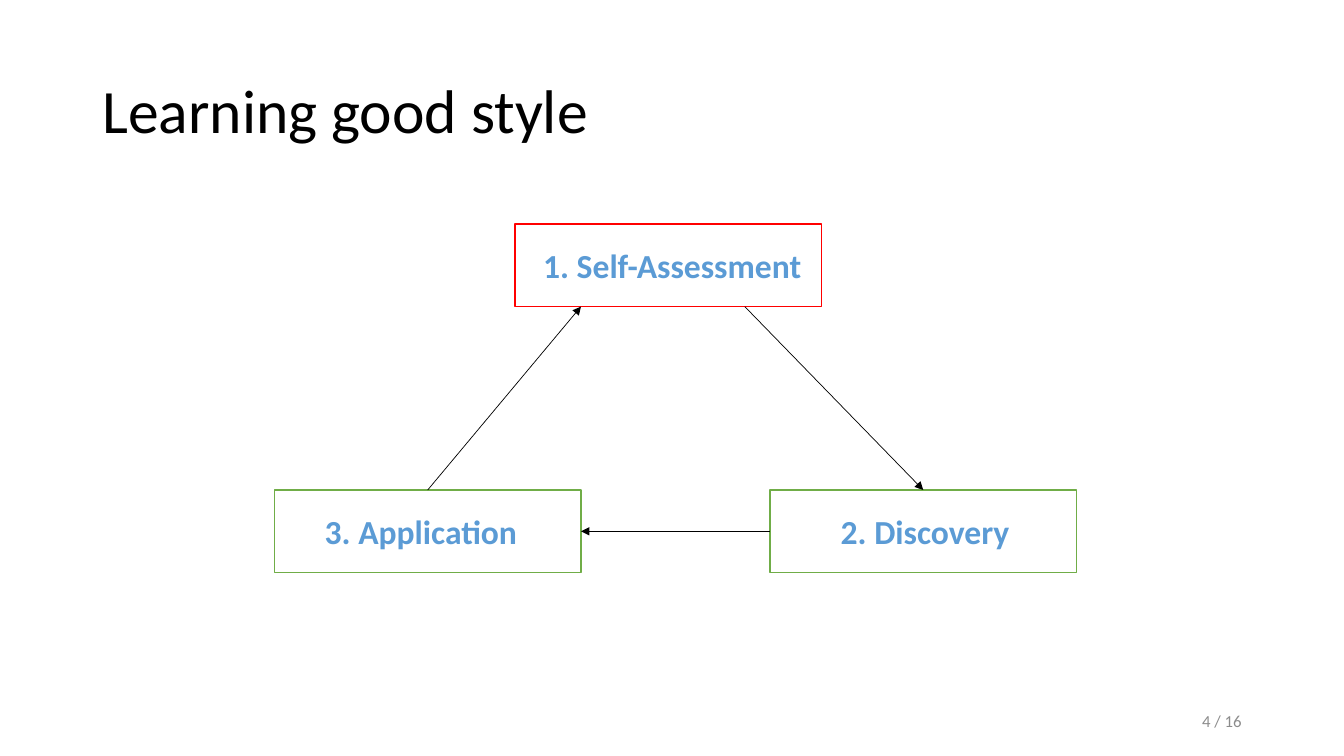
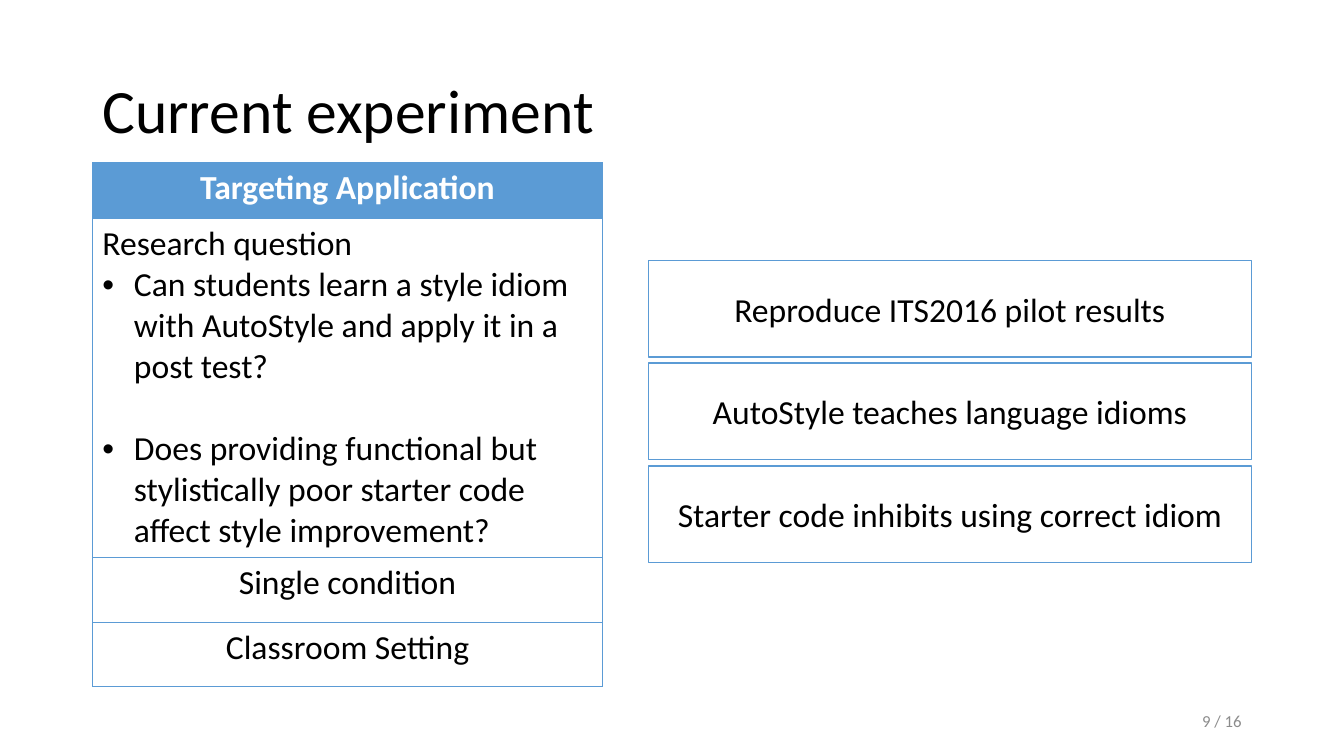
"""Build two slides: a learning cycle and a summary of the current experiment."""
from dataclasses import dataclass
from typing import Any, Optional

from lxml.etree import SubElement
from pptx import Presentation
from pptx.dml.color import RGBColor
from pptx.enum.shapes import MSO_CONNECTOR as Connector, MSO_SHAPE as Preset
from pptx.enum.text import MSO_ANCHOR as Anchor, PP_ALIGN as Align
from pptx.oxml.ns import qn
from pptx.shapes.autoshape import Shape
from pptx.slide import Slide
from pptx.util import Pt

BLACK, WHITE, GREY = "000000", "FFFFFF", "8C8C8C"
BLUE, GREEN, RED = "5B9BD5", "70AD47", "FF0000"
PAGE_COUNT = 16
MARGIN = 66
BODY = {"name": "Calibri", "size": Pt(24), "bold": False}
STRONG = BODY | {"bold": True}
TITLE = BODY | {"size": Pt(44)}
FOOTER = BODY | {"size": Pt(12)}
TOP, LEFT, BOTTOM, RIGHT = range(4)


@dataclass(frozen=True)
class Area:
    left: float
    top: float
    width: float
    height: float

    def points(self) -> tuple:
        return Pt(self.left), Pt(self.top), Pt(self.width), Pt(self.height)


@dataclass(frozen=True)
class Box:
    text: str
    area: Area
    outline: str
    font: dict
    colour: str = BLACK
    fill: Optional[str] = None
    align: Align = Align.CENTER
    inset: float = 7.2


@dataclass(frozen=True)
class Line:
    text: str
    align: Align = Align.LEFT
    bullet: bool = False
    before: float = 0


@dataclass(frozen=True)
class Row:
    height: float
    lines: tuple
    font: dict
    colour: str = BLACK
    fill: Optional[str] = None


@dataclass(frozen=True)
class Arrow:
    start: tuple
    end: tuple
    start_joint: Optional[tuple] = None
    end_joint: Optional[tuple] = None


BOX_WIDTH, BOX_HEIGHT = 219, 59
UPPER, LOWER = 160, 350
UPPER_EDGE, LOWER_MIDDLE = UPPER + BOX_HEIGHT, LOWER + BOX_HEIGHT / 2
FIRST, SECOND, THIRD = 368, 550, 196


def step(text: str, left: float, top: float, outline: str, inset: float) -> Box:
    return Box(text, Area(left, top, BOX_WIDTH, BOX_HEIGHT), outline, STRONG, BLUE,
               align=Align.LEFT, inset=inset)


STEPS = (
    step("1. Self-Assessment", FIRST, UPPER, RED, 20),
    step("2. Discovery", SECOND, LOWER, GREEN, 50.5),
    step("3. Application", THIRD, LOWER, GREEN, 36),
)
ARROWS = (
    Arrow((532, UPPER_EDGE), (SECOND + BOX_WIDTH / 2, LOWER), end_joint=(1, TOP)),
    Arrow((SECOND, LOWER_MIDDLE), (THIRD + BOX_WIDTH, LOWER_MIDDLE), (1, LEFT), (2, RIGHT)),
    Arrow((THIRD + BOX_WIDTH / 2, LOWER), (THIRD + BOX_WIDTH, UPPER_EDGE), (2, TOP)),
)
ROWS = (
    Row(40, (Line("Targeting Application", Align.CENTER),), STRONG, WHITE, BLUE),
    Row(242, (
        Line("Research question"),
        Line("Can students learn a style idiom with AutoStyle and apply it in a post test?",
             bullet=True),
        Line("Does providing functional but stylistically poor starter code affect style "
             "improvement?", bullet=True, before=29.3),
    ), BODY),
    Row(46.4, (Line("Single condition", Align.CENTER),), BODY),
    Row(46, (Line("Classroom Setting", Align.CENTER),), BODY),
)
FINDINGS = tuple(
    Box(text, Area(463, 186 + 73.4 * index, 431, 69), BLUE, BODY, fill=WHITE)
    for index, text in enumerate((
        "Reproduce ITS2016 pilot results",
        "AutoStyle teaches language idioms",
        "Starter code inhibits using correct idiom",
    ))
)


def rgb(colour: str) -> RGBColor:
    return RGBColor.from_string(colour)


def set_format(target: Any, values: dict) -> None:
    for name, value in values.items():
        setattr(target, name, value)


def set_fill(target: Any, colour: Optional[str]) -> None:
    if colour is None:
        target.fill.background()
    else:
        target.fill.solid()
        target.fill.fore_color.rgb = rgb(colour)


def write(paragraph: Any, text: str, font: dict, colour: str, values: dict) -> None:
    set_format(paragraph, values)
    run = paragraph.add_run()
    run.text = text
    set_format(run.font, font)
    run.font.color.rgb = rgb(colour)


def add_label(slide: Slide, area: Area, text: str, font: dict, colour: str, values: dict) -> None:
    frame = slide.shapes.add_textbox(*area.points()).text_frame
    set_format(frame, {"word_wrap": True, "vertical_anchor": Anchor.MIDDLE})
    write(frame.paragraphs[0], text, font, colour, values)


def add_page(presentation: Any, title: str, number: int) -> Slide:
    slide = presentation.slides.add_slide(presentation.slide_layouts[6])
    add_label(slide, Area(MARGIN, 29, 828, 104), title, TITLE, BLACK,
              {"alignment": Align.LEFT, "line_spacing": 0.9})
    add_label(slide, Area(678, 500, 216, 29), f"{number} / {PAGE_COUNT}", FOOTER, GREY,
              {"alignment": Align.RIGHT})
    return slide


def add_box(slide: Slide, box: Box) -> Shape:
    shape = slide.shapes.add_shape(Preset.RECTANGLE, *box.area.points())
    shape.shadow.inherit = False
    set_fill(shape, box.fill)
    shape.line.color.rgb = rgb(box.outline)
    shape.line.width = Pt(1)
    set_format(shape.text_frame, {"word_wrap": True, "vertical_anchor": Anchor.MIDDLE,
                                  "margin_left": Pt(box.inset), "margin_right": Pt(7.2)})
    write(shape.text_frame.paragraphs[0], box.text, box.font, box.colour,
          {"alignment": box.align})
    return shape


def add_arrow(slide: Slide, arrow: Arrow, shapes: list) -> None:
    ends = [Pt(value) for value in arrow.start + arrow.end]
    connector = slide.shapes.add_connector(Connector.STRAIGHT, *ends)
    joints = ((arrow.start_joint, connector.begin_connect),
              (arrow.end_joint, connector.end_connect))
    for joint, connect in joints:
        if joint:
            index, side = joint
            connect(shapes[index], side)
    connector.line.color.rgb = rgb(BLACK)
    connector.line.width = Pt(0.5)
    SubElement(connector.line._get_or_add_ln(), qn("a:tailEnd"), type="triangle")
    SubElement(connector._element.spPr, qn("a:effectLst"))


def add_borders(cell: Any, colour: str) -> None:
    properties = cell._tc.get_or_add_tcPr()
    for side in ("lnL", "lnR", "lnT", "lnB"):
        border = SubElement(properties, qn(f"a:{side}"), w=str(Pt(0.5)))
        SubElement(SubElement(border, qn("a:solidFill")), qn("a:srgbClr"), val=colour)


def add_bullet(paragraph: Any) -> None:
    properties = paragraph._p.get_or_add_pPr()
    properties.set("marL", str(Pt(22.5)))
    properties.set("indent", str(-Pt(22.5)))
    SubElement(properties, qn("a:buFont"), typeface="Arial")
    SubElement(properties, qn("a:buChar"), char="•")


def add_rows(slide: Slide, left: float, top: float, width: float, rows: tuple) -> None:
    area = Area(left, top, width, sum(row.height for row in rows))
    table = slide.shapes.add_table(len(rows), 1, *area.points()).table
    set_format(table, {"first_row": False, "horz_banding": False})
    for index, row in enumerate(rows):
        table.rows[index].height = Pt(row.height)
        cell = table.cell(index, 0)
        add_borders(cell, BLUE)
        set_fill(cell, row.fill)
        frame = cell.text_frame
        for position, line in enumerate(row.lines):
            paragraph = frame.add_paragraph() if position else frame.paragraphs[0]
            if line.bullet:
                add_bullet(paragraph)
            values = {"alignment": line.align}
            if line.before:
                values["space_before"] = Pt(line.before)
            write(paragraph, line.text, row.font, row.colour, values)


def main() -> None:
    presentation = Presentation()
    set_format(presentation, {"slide_width": Pt(960), "slide_height": Pt(540)})

    cycle = add_page(presentation, "Learning good style", 4)
    shapes = [add_box(cycle, box) for box in STEPS]
    for arrow in ARROWS:
        add_arrow(cycle, arrow, shapes)

    experiment = add_page(presentation, "Current experiment", 9)
    add_rows(experiment, MARGIN, 116, 364.5, ROWS)
    for finding in FINDINGS:
        add_box(experiment, finding)

    presentation.save("out.pptx")


if __name__ == "__main__":
    main()
